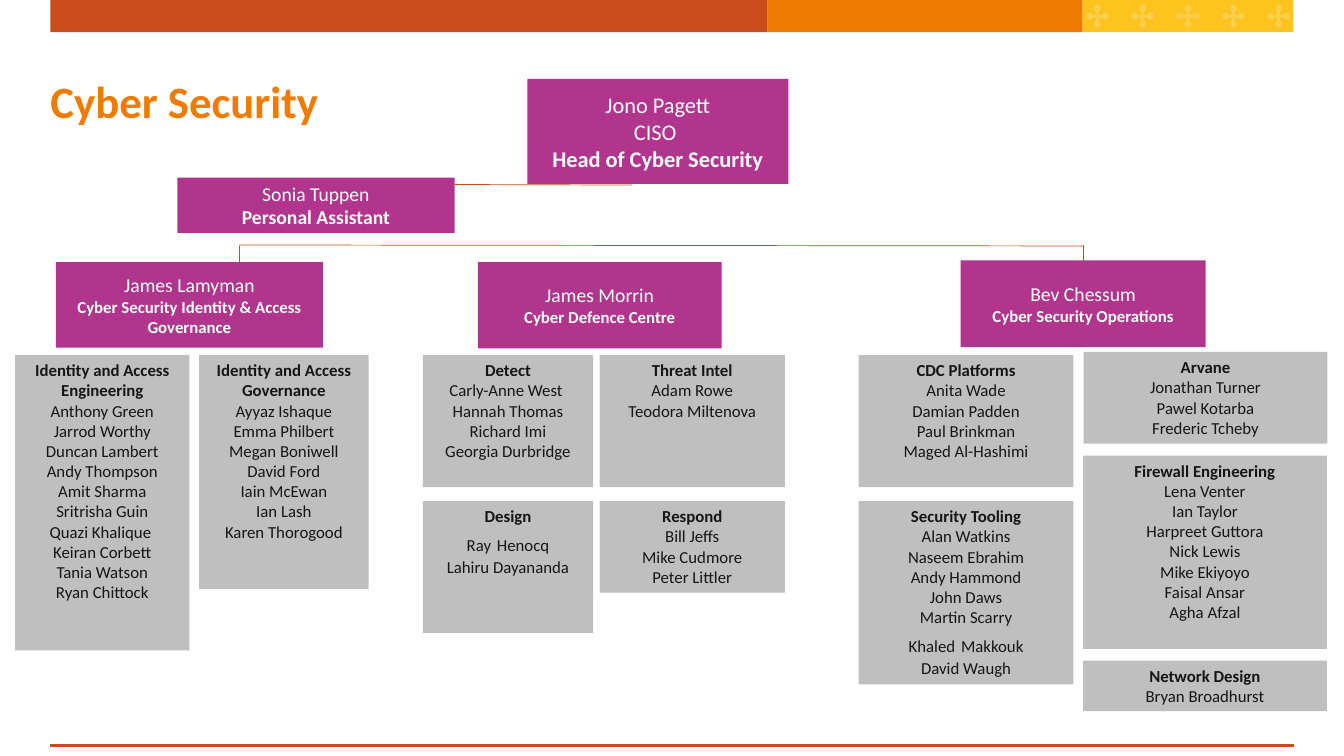
from math import cos, radians, sin

from lxml.etree import SubElement
from pptx import Presentation
from pptx.dml.color import RGBColor
from pptx.enum.shapes import MSO_CONNECTOR, MSO_SHAPE
from pptx.enum.text import MSO_ANCHOR, PP_ALIGN
from pptx.oxml.ns import qn
from pptx.util import Pt

FONT = "Calibri"
RUST, ORANGE, YELLOW = "C94D1B", "EF7B00", "FDC41F"
PURPLE, GREY, WHITE, INK = "B1358D", "BFBFBF", "FFFFFF", "171616"

HEADER_EDGES = [36, 548.4, 773.3, 924]
HEADER_COLOURS = [RUST, ORANGE, YELLOW]

UPPER_ROW, LOWER_ROW = 253.6, 357.9
WIDE_SPACE = "| |"

TEAMS = [
    ((142.3, UPPER_ROW, 121, 167), "Identity and Access Governance",
     ["Ayyaz Ishaque", "Emma Philbert", "Megan Boniwell", "David Ford",
      "Iain McEwan", "Ian Lash", "Karen Thorogood"]),
    ((10.8, UPPER_ROW, 124.6, 211), "Identity and Access Engineering",
     ["Anthony Green", "Jarrod Worthy", "Duncan Lambert", "Andy Thompson",
      "Amit Sharma", "Sritrisha Guin", "Quazi Khalique ", "Keiran Corbett",
      "Tania Watson", "Ryan Chittock"]),
    ((428.4, UPPER_ROW, 132.2, 94.3), "Threat Intel",
     ["Adam Rowe", "Teodora Miltenova"]),
    ((613.4, UPPER_ROW, 153.4, 94.3), "CDC Platforms",
     ["Anita Wade", "Damian Padden", "Paul Brinkman", "Maged Al-Hashimi"]),
    ((774, 251.4, 174.2, 65.5), "Arvane",
     ["Jonathan Turner", "Pawel Kotarba", "Frederic Tcheby"]),
    ((428.4, LOWER_ROW, 132.2, 65.5), "Respond",
     ["Bill Jeffs", "Mike Cudmore", "Peter Littler"]),
    ((302.1, UPPER_ROW, 121.6, 94.3), "Detect",
     ["Carly-Anne West ", "Hannah Thomas", "Richard Imi", "Georgia Durbridge"]),
    ((302.1, LOWER_ROW, 121.6, 94.3), "Design",
     [f"Ray{WIDE_SPACE}Henocq", "Lahiru Dayananda"]),
    ((613.4, LOWER_ROW, 153.4, 131), "Security Tooling",
     ["Alan Watkins", "Naseem Ebrahim", "Andy Hammond", "John Daws",
      "Martin Scarry", f"Khaled{WIDE_SPACE}Makkouk", "David Waugh"]),
    ((773.6, 325.4, 174.2, 138.1), "Firewall Engineering",
     ["Lena Venter", "Ian Taylor", "Harpreet Guttora", "Nick Lewis",
      "Mike Ekiyoyo", "Faisal Ansar", "Agha Afzal"]),
    ((773.6, 471.8, 174.2, 36.2), "Network Design", ["Bryan Broadhurst"]),
]


def colour(value):
    """Return the colour for a hex string."""
    return RGBColor.from_string(value)


def paint(shape, fill):
    """Give a shape a flat fill with no line or shadow."""
    shape.shadow.inherit = False
    shape.fill.solid()
    shape.fill.fore_color.rgb = colour(fill)
    shape.line.fill.background()


def add_block(page, place, fill):
    """Add a plain rectangle."""
    block = page.shapes.add_shape(MSO_SHAPE.RECTANGLE, *map(Pt, place))
    paint(block, fill)
    return block


def style_span(span, size, ink, bold):
    """Set the font of one run."""
    span.font.name = FONT
    span.font.size = Pt(size)
    span.font.bold = bold
    span.font.color.rgb = colour(ink)


def add_line(page, start, end, width):
    """Add a straight rust-coloured line without shadow."""
    line = page.shapes.add_connector(
        MSO_CONNECTOR.STRAIGHT, *map(Pt, (*start, *end)))
    line.line.color.rgb = colour(RUST)
    line.line.width = Pt(width)
    SubElement(line._element.spPr, qn("a:effectLst"))


def add_cross(page, x, y):
    """Add a translucent cross with round ends centred on a point."""
    lobe, reach, arm = 2.5, 5.7, 1
    quarter = [(arm, -arm)]
    quarter += [(reach + lobe * cos(radians(a)), lobe * sin(radians(a)))
                for a in range(-156, 157, 52)]
    outline = []
    for turn in map(radians, (0, 90, 180, 270)):
        outline += [(Pt(x + u * cos(turn) - v * sin(turn)),
                     Pt(y + u * sin(turn) + v * cos(turn)))
                    for u, v in quarter]
    builder = page.shapes.build_freeform(*outline[0])
    builder.add_line_segments(outline[1:], close=True)
    cross = builder.convert_to_shape()
    paint(cross, WHITE)
    tint = cross._element.spPr.find(qn("a:solidFill"))[0]
    SubElement(tint, qn("a:alpha"), val="20000")


def add_title(page, text):
    """Add the slide title."""
    box = page.shapes.add_textbox(Pt(36), Pt(36), Pt(888), Pt(72))
    frame = box.text_frame
    frame.word_wrap = True
    frame.vertical_anchor = MSO_ANCHOR.MIDDLE
    frame.margin_left = frame.margin_right = 0
    frame.margin_top = frame.margin_bottom = 0
    frame.text = text
    style_span(frame.paragraphs[0].runs[0], 32, ORANGE, True)


def add_leader(page, place, lines):
    """Add a purple box from (text, size, bold) lines."""
    frame = add_block(page, place, PURPLE).text_frame
    frame.word_wrap = True
    frame.vertical_anchor = MSO_ANCHOR.MIDDLE
    frame.text = "\n".join(text for text, _, _ in lines)
    for para, (_, size, bold) in zip(frame.paragraphs, lines):
        para.alignment = PP_ALIGN.CENTER
        style_span(para.runs[0], size, WHITE, bold)


def add_team(page, place, name, members):
    """Add a grey box with a bold team name above its members."""
    frame = add_block(page, place, GREY).text_frame
    frame.word_wrap = True
    frame.vertical_anchor = MSO_ANCHOR.TOP
    for index, text in enumerate([name, *members]):
        para = frame.add_paragraph() if index else frame.paragraphs[0]
        para.alignment = PP_ALIGN.CENTER
        for part in text.split("|"):
            span = para.add_run()
            span.text = part
            style_span(span, 18 if part == " " else 12, INK, index == 0)


def add_frame(page):
    """Add the header band and the footer line."""
    for left, right, fill in zip(HEADER_EDGES, HEADER_EDGES[1:], HEADER_COLOURS):
        add_block(page, (left, 0, right - left, 23), fill)
    for step in range(5):
        add_cross(page, 783.7 + 32.4 * step, 11.6)
    add_line(page, (36, 532.8), (924, 532.8), 2.25)


def main():
    """Build the organisation chart and save it."""
    deck = Presentation()
    deck.slide_width, deck.slide_height = Pt(960), Pt(540)
    page = deck.slides.add_slide(deck.slide_layouts[6])
    add_frame(page)
    add_title(page, "Cyber Security")

    add_leader(page, (376.6, 56.4, 186.5, 75),
               [("Jono Pagett", 16, False), ("CISO ", 16, False),
                ("Head of Cyber Security", 16, True)])
    add_leader(page, (126.7, 126.9, 198, 39.4),
               [("Sonia Tuppen", 14, False), ("Personal Assistant", 14, True)])

    add_line(page, (324.7, 131.8), (451.4, 132.2), 0.5)
    add_line(page, (170.9, 175), (774, 175.7), 0.5)
    add_line(page, (170.9, 175.7), (170.9, 222.5), 0.5)
    add_line(page, (774, 175), (774, 215.3), 0.5)

    add_leader(page, (39.9, 187.2, 190.8, 61.2),
               [("James Lamyman", 14, False),
                ("Cyber Security Identity & Access Governance", 12, True)])
    add_leader(page, (341.3, 187.2, 174.2, 61.6),
               [("James Morrin", 14, False), ("Cyber Defence Centre", 12, True)])
    add_leader(page, (686.2, 186, 175, 61.9),
               [("Bev Chessum", 14, False),
                ("Cyber Security Operations", 12, True)])

    for place, name, members in TEAMS:
        add_team(page, place, name, members)
    deck.save("out.pptx")


if __name__ == "__main__":
    main()
